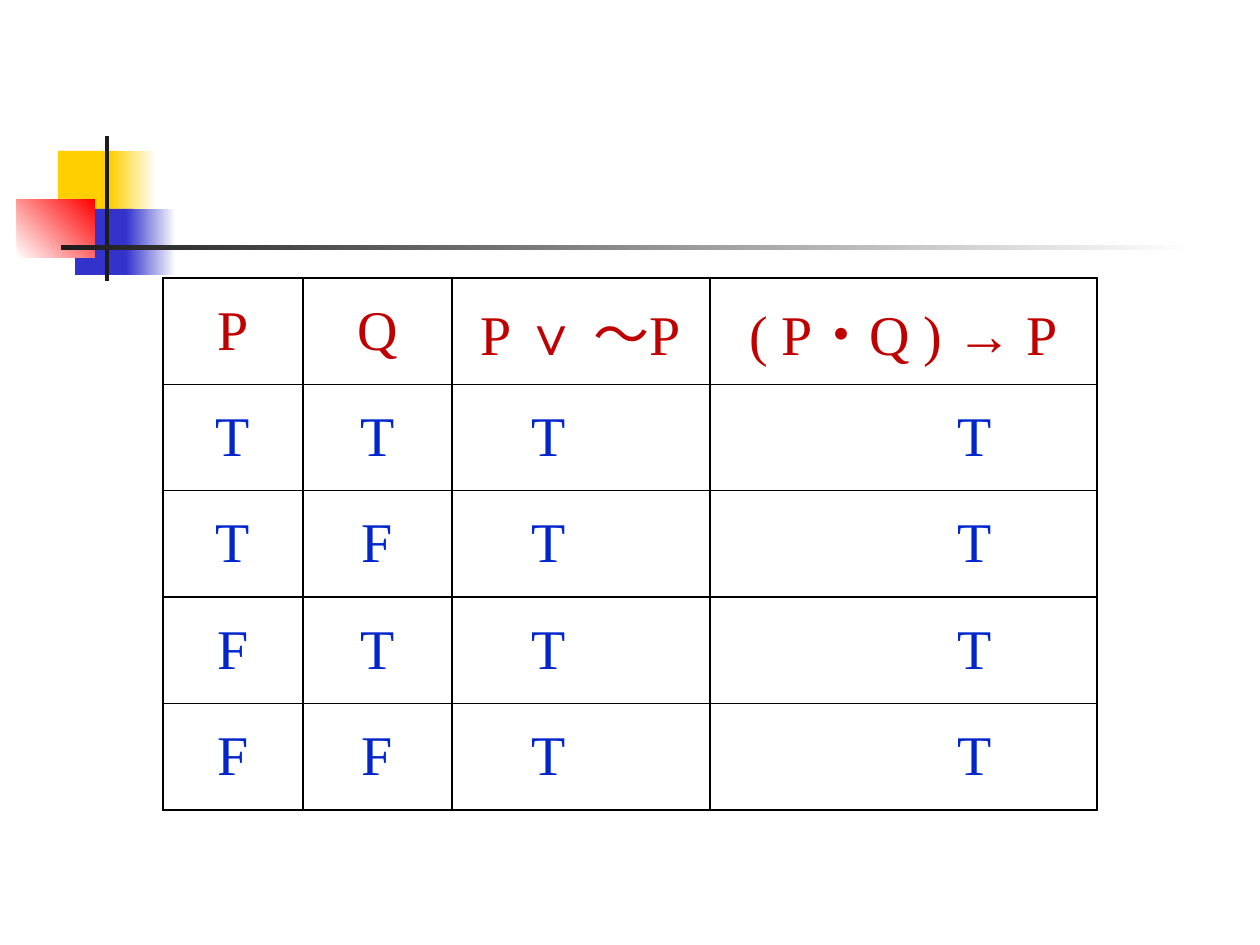
from lxml.etree import SubElement
from pptx import Presentation
from pptx.dml.color import RGBColor
from pptx.enum.shapes import MSO_SHAPE
from pptx.enum.text import MSO_ANCHOR, PP_ALIGN
from pptx.oxml.ns import qn
from pptx.util import Emu, Pt

PX_PER_INCH = 126
YELLOW, BLUE, RED, DARK, WHITE = "FFCF01", "3333CC", "FF0000", "1C1C1C", "FFFFFF"
HEADING_COLOR, VALUE_COLOR, BORDER_COLOR = "C00000", "0226CC", "000000"

# left, top, width, height, colours (one is solid, two fade), angle
DECORATION = [
    (58, 151, 60, 66, [YELLOW], 0),
    (110, 151, 46, 66, [YELLOW, WHITE], 0),
    (75, 209, 58, 66, [BLUE], 0),
    (126, 209, 50, 66, [BLUE, WHITE], 0),
    (17, 199, 78, 59, [WHITE, RED], 45),
    (105, 136, 4, 145, [DARK], 0),
    (61, 245, 1134, 5, [DARK, WHITE], 0),
]

TRUTH_TABLE = [
    ["P", "Q", "P ∨ ～P", "( P・Q ) → P"],
    ["T", "T", "T", "T"],
    ["T", "F", "T", "T"],
    ["F", "T", "T", "T"],
    ["F", "F", "T", "T"],
]
COLUMN_WIDTHS = [140, 149, 258, 387]
TABLE_HEIGHT = 532
# Puts each result under the main connective of its formula
RESULT_INDENTS = {2: 80, 3: 248}


def px(length):
    return Emu(round(length * 914400 / PX_PER_INCH))


def rgb(color):
    return RGBColor.from_string(color)


def add_block(slide, left, top, width, height, colors, angle):
    block = slide.shapes.add_shape(
        MSO_SHAPE.RECTANGLE, px(left), px(top), px(width), px(height))
    block.shadow.inherit = False
    block.line.fill.background()
    if len(colors) == 1:
        block.fill.solid()
        block.fill.fore_color.rgb = rgb(colors[0])
        return
    block.fill.gradient()
    block.fill.gradient_angle = angle
    for stop, color in zip(block.fill.gradient_stops, colors):
        stop.color.rgb = rgb(color)


def add_borders(cell):
    properties = cell._tc.get_or_add_tcPr()
    for position, side in enumerate(("a:lnL", "a:lnR", "a:lnT", "a:lnB")):
        border = SubElement(properties, qn(side), w=str(Pt(1)))
        fill = SubElement(border, qn("a:solidFill"))
        SubElement(fill, qn("a:srgbClr"), val=BORDER_COLOR)
        properties.remove(border)
        properties.insert(position, border)


def fill_cell(cell, text, color, indent):
    cell.fill.background()
    add_borders(cell)
    cell.vertical_anchor = MSO_ANCHOR.MIDDLE
    cell.text_frame.text = text
    paragraph = cell.text_frame.paragraphs[0]
    if indent is None:
        paragraph.alignment = PP_ALIGN.CENTER
    else:
        paragraph.alignment = PP_ALIGN.LEFT
        cell.margin_left = px(indent)
    font = paragraph.runs[0].font
    font.name = "Times New Roman"
    font.size = Pt(32)
    font.color.rgb = rgb(color)


def add_truth_table(slide, left, top):
    table = slide.shapes.add_table(
        len(TRUTH_TABLE), len(COLUMN_WIDTHS), px(left), px(top),
        px(sum(COLUMN_WIDTHS)), px(TABLE_HEIGHT)).table
    table.first_row = table.horz_banding = False
    for column, width in zip(table.columns, COLUMN_WIDTHS):
        column.width = px(width)
    for row_index, row in enumerate(TRUTH_TABLE):
        is_heading = row_index == 0
        color = HEADING_COLOR if is_heading else VALUE_COLOR
        for column_index, text in enumerate(row):
            indent = None if is_heading else RESULT_INDENTS.get(column_index)
            fill_cell(table.cell(row_index, column_index), text, color, indent)


def main():
    presentation = Presentation()
    presentation.slide_width = px(1260)
    presentation.slide_height = px(945)
    slide = presentation.slides.add_slide(presentation.slide_layouts[6])
    for block in DECORATION:
        add_block(slide, *block)
    add_truth_table(slide, 163, 278)
    presentation.save("out.pptx")


if __name__ == "__main__":
    main()
